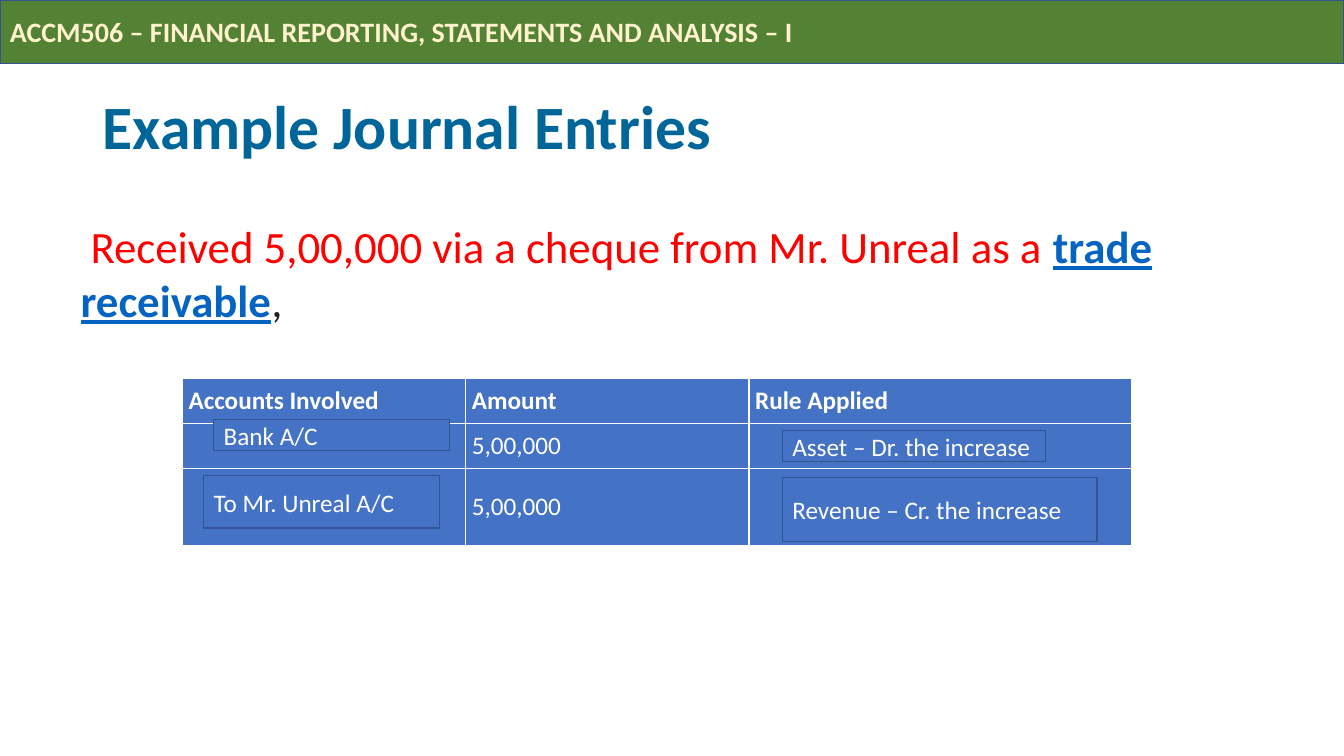
"""Build the journal entries slide."""
from pptx import Presentation
from pptx import util as u
from pptx.dml.color import RGBColor
from pptx.enum import shapes, text

GREEN = RGBColor(0x54, 0x82, 0x35)
CREAM = RGBColor(0xFF, 0xF2, 0xCC)
BLUE = RGBColor(0x44, 0x72, 0xC4)
NAVY = RGBColor(0x32, 0x54, 0x91)
TEAL = RGBColor(0x00, 0x66, 0x99)
RED = RGBColor(0xFF, 0x00, 0x00)
LINK = RGBColor(0x05, 0x63, 0xC1)
DARK = RGBColor(0x22, 0x22, 0x22)
WHITE = RGBColor(0xFF, 0xFF, 0xFF)

WIDE, HIGH = 13.33, 7.5
COURSE = "ACCM506 – FINANCIAL REPORTING, STATEMENTS AND ANALYSIS – I"
TITLE = "Example Journal Entries"
EVENT = [
    ("Received 5,00,000 via a cheque from Mr. Unreal as a ", RED, {}),
    ("trade receivable", LINK, {"bold": True, "underline": True}),
    (",", DARK, {}),
]
GRID = [
    ("Accounts Involved", "Amount", "Rule Applied"),
    ("", "5,00,000", ""),
    ("", "5,00,000", ""),
]
LEFT, TOP = 1.81, 3.75
COLS = (2.81, 2.81, 3.79)
ROWS = (0.45, 0.45, 0.76)
TAGS = [
    ("Bank A/C", 0, 1, 0.31, -0.04, 2.34, 0.31),
    ("To Mr. Unreal A/C", 0, 2, 0.21, 0.07, 2.34, 0.52),
    ("Asset – Dr. the increase", 2, 1, 0.33, 0.07, 2.61, 0.31),
    ("Revenue – Cr. the increase", 2, 2, 0.33, 0.09, 3.12, 0.63),
]


def write(par, words, size, color, **style):
    run = par.add_run()
    run.text = words
    font = run.font
    for key, val in {"name": "Calibri", "size": u.Pt(size), **style}.items():
        setattr(font, key, val)
    font.color.rgb = color


def frame(shape, anchor):
    body = shape.text_frame
    body.word_wrap = True
    body.vertical_anchor = anchor
    par = body.paragraphs[0]
    par.alignment = text.PP_ALIGN.LEFT
    return par


def place(*spot):
    return [u.Inches(n) for n in spot]


def box(slide, spot, fill, words, size, color, **style):
    rect = slide.shapes.add_shape(shapes.MSO_SHAPE.RECTANGLE, *place(*spot))
    rect.shadow.inherit = False
    rect.fill.solid()
    rect.fill.fore_color.rgb = fill
    rect.line.color.rgb = NAVY
    rect.line.width = u.Pt(1)
    write(frame(rect, text.MSO_ANCHOR.MIDDLE), words, size, color, **style)


def ledger(slide):
    spot = place(LEFT, TOP, sum(COLS), sum(ROWS))
    table = slide.shapes.add_table(len(ROWS), len(COLS), *spot).table
    for col, wide in zip(table.columns, COLS):
        col.width = u.Inches(wide)
    pads = {"margin_left": 0.06, "margin_right": 0.06,
            "margin_top": 0.01, "margin_bottom": 0.01}
    for r, line in enumerate(GRID):
        table.rows[r].height = u.Inches(ROWS[r])
        for c, words in enumerate(line):
            cell = table.cell(r, c)
            cell.fill.solid()
            cell.fill.fore_color.rgb = BLUE
            cell.vertical_anchor = text.MSO_ANCHOR.MIDDLE
            for key, val in pads.items():
                setattr(cell, key, u.Inches(val))
            if words:
                par = cell.text_frame.paragraphs[0]
                write(par, words, 18, WHITE, bold=r == 0)


def main():
    deck = Presentation()
    deck.slide_width, deck.slide_height = place(WIDE, HIGH)
    slide = deck.slides.add_slide(deck.slide_layouts[6])
    box(slide, (0, 0, WIDE, 0.63), GREEN, COURSE, 20, CREAM, bold=True)

    head = slide.shapes.add_textbox(*place(0.92, 0.74, 11.5, 1.1))
    par = frame(head, text.MSO_ANCHOR.MIDDLE)
    par.line_spacing = 0.9
    write(par, TITLE, 44, TEAL, bold=True)

    ledger(slide)
    for words, c, r, dx, dy, wide, high in TAGS:
        spot = (LEFT + sum(COLS[:c]) + dx, TOP + sum(ROWS[:r]) + dy, wide, high)
        box(slide, spot, BLUE, words, 18, WHITE)

    event = slide.shapes.add_textbox(*place(0.7, 2.12, 11.39, 1.18))
    par = frame(event, text.MSO_ANCHOR.TOP)
    par._p.get_or_add_pPr().set("indent", str(u.Inches(0.1)))
    for words, color, style in EVENT:
        write(par, words, 32, color, **style)
    deck.save("out.pptx")


if __name__ == "__main__":
    main()
